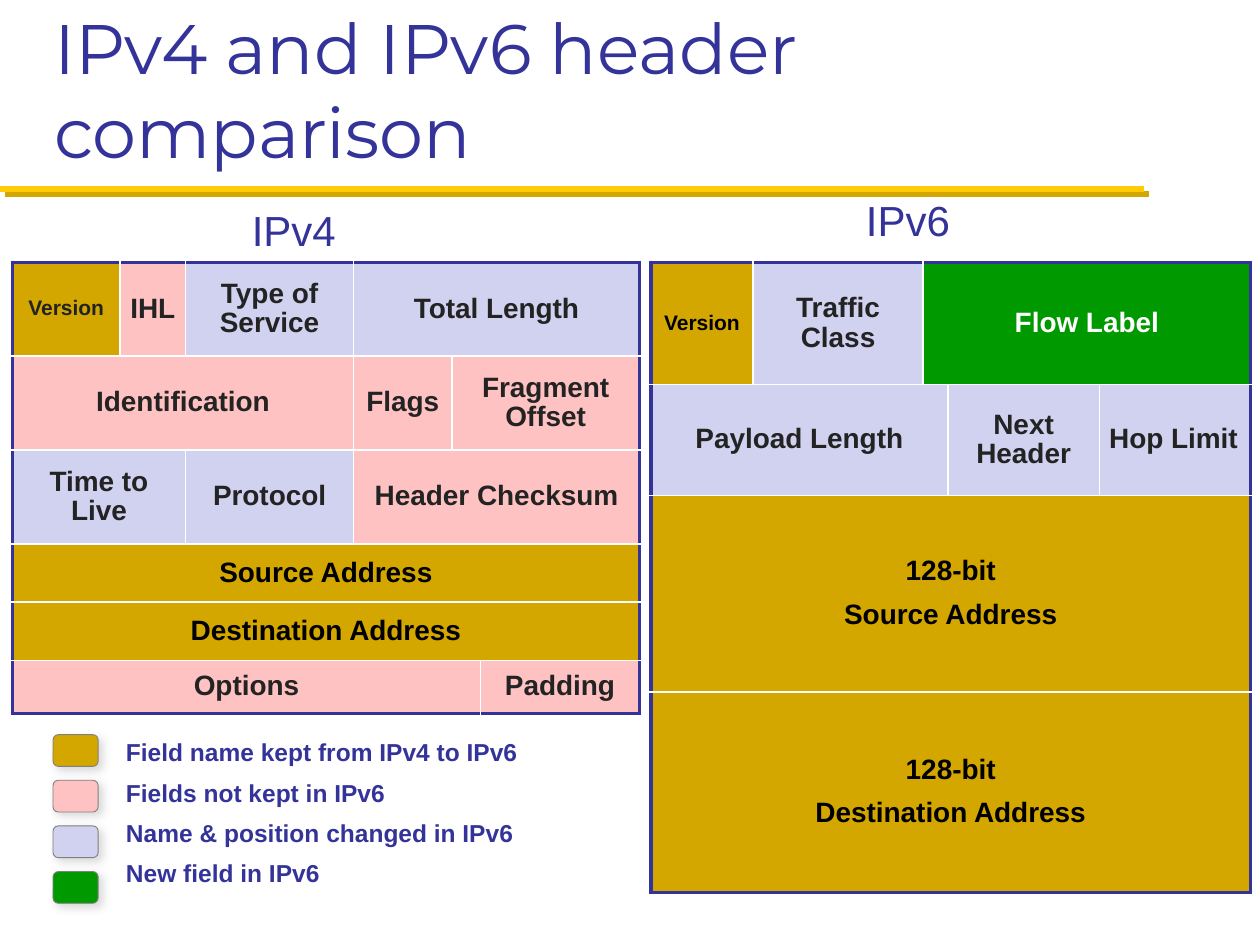
from lxml import etree
from pptx import Presentation
from pptx.dml.color import RGBColor
from pptx.enum import shapes, text
from pptx.oxml.ns import qn
from pptx.util import Cm, Pt

# Content
TITLE = "IPv4 and IPv6 header comparison"
NAVY, WHITE, BLACK, DARK = "333399", "FFFFFF", "000000", "232323"

# Kind of field: fill, text colour, legend entry
KINDS = {
    "kept": ("D3A600", BLACK, "Field name kept from IPv4 to IPv6"),
    "dropped": ("FFC2C2", DARK, "Fields not kept in IPv6"),
    "changed": ("D1D1F0", DARK, "Name & position changed in IPv6"),
    "new": ("009900", WHITE, "New field in IPv6"),
}

# Fields: text, kind, columns spanned, differing format
HEADERS = [
    dict(
        name="IPv4", label=(4.66, 4.01, 2.53, 1.22), left=0.25,
        widths=[2.17, 1.32, 3.39, 1.98, 0.58, 3.2],
        heights=[1.89, 1.89, 1.9, 1.17, 1.17, 1.07],
        rows=[
            [("Version", "kept", 1, dict(size=12, color=DARK)), ("IHL", "dropped", 1),
             ("Type of Service", "changed", 1), ("Total Length", "changed", 3)],
            [("Identification", "dropped", 3), ("Flags", "dropped", 1),
             ("Fragment Offset", "dropped", 2)],
            [("Time to Live", "changed", 2), ("Protocol", "changed", 1),
             ("Header Checksum", "dropped", 3)],
            [("Source Address", "kept", 6)],
            [("Destination Address", "kept", 6)],
            [("Options", "dropped", 5), ("Padding", "dropped", 1)],
        ]),
    dict(
        name="IPv6", label=(14.81, 3.81, 6.99, 1.22), left=13.12,
        widths=[2.06, 3.43, 0.46, 3.05, 3.05],
        heights=[2.46, 2.24, 3.96, 4.04],
        rows=[
            [("Version", "kept", 1, dict(size=12)), ("Traffic Class", "changed", 1),
             ("Flow Label", "new", 3)],
            [("Payload Length", "changed", 3), ("Next Header", "changed", 1),
             ("Hop Limit", "changed", 1, dict(align=text.PP_ALIGN.LEFT))],
            [("128-bit\nSource Address", "kept", 5)],
            [("128-bit\nDestination Address", "kept", 5)],
        ]),
]
TABLE_TOP = 5.29
SWATCH_LEFT, SWATCH_TOP, SWATCH_PITCH = 1.07, 14.81, 0.92


def rgb(value):
    return RGBColor.from_string(value)


def assign(target, **values):
    for name, value in values.items():
        setattr(target, name, value)


def write(frame, words, size, color, bold=False, font="Arial",
          align=text.PP_ALIGN.LEFT, spacing=1.0, before=0):
    """Fill a text frame; before is a percentage of the line."""
    frame.text = words
    for line in frame.paragraphs:
        assign(line, alignment=align, line_spacing=spacing)
        gap = etree.SubElement(line._p.get_or_add_pPr(), qn("a:spcBef"))
        etree.SubElement(gap, qn("a:spcPct"), val=str(before * 1000))
        assign(line.runs[0].font, size=Pt(size), bold=bold, name=font)
        line.runs[0].font.color.rgb = rgb(color)


def add_shadow(shape, color, alpha, blur, distance):
    effects = etree.SubElement(shape._element.spPr, qn("a:effectLst"))
    outer = etree.SubElement(
        effects, qn("a:outerShdw"), blurRad=str(Pt(blur)), dist=str(Pt(distance)),
        dir="2700000", algn="tl", rotWithShape="0")
    tint = etree.SubElement(outer, qn("a:srgbClr"), val=color)
    etree.SubElement(tint, qn("a:alpha"), val=str(alpha * 1000))


def add_borders(cell, **outer):
    """Navy on the edges of the table, white between fields."""
    props = cell._tc.get_or_add_tcPr()
    for side in "LRTB":
        color, width = (NAVY, 2.25) if outer[side] else (WHITE, 1)
        edge = etree.SubElement(props, qn("a:ln" + side), w=str(Pt(width)))
        paint = etree.SubElement(edge, qn("a:solidFill"))
        etree.SubElement(paint, qn("a:srgbClr"), val=color)


def add_label(box, words, inset=0.2, **style):
    frame = slide.shapes.add_textbox(*map(Cm, box)).text_frame
    assign(frame, word_wrap=True, margin_left=Cm(inset), margin_right=Cm(0.2),
           margin_top=Cm(0.11), margin_bottom=Cm(0.11))
    write(frame, words, color=NAVY, **style)


def add_header(header):
    widths, heights, rows = header["widths"], header["heights"], header["rows"]
    table = slide.shapes.add_table(
        len(heights), len(widths), Cm(header["left"]), Cm(TABLE_TOP),
        Cm(sum(widths)), Cm(sum(heights))).table
    assign(table, first_row=False, horz_banding=False)
    for column, width in zip(table.columns, widths):
        column.width = Cm(width)
    for row, height in zip(table.rows, heights):
        row.height = Cm(height)
    for r, fields in enumerate(rows):
        start = 0
        for words, kind, span, *extra in fields:
            end = start + span
            fill, color, _ = KINDS[kind]
            for c in range(start, end):
                cell = table.cell(r, c)
                add_borders(cell, L=start == 0, R=end == len(widths),
                            T=r == 0, B=r == len(rows) - 1)
                cell.fill.solid()
                cell.fill.fore_color.rgb = rgb(fill)
            field = table.cell(r, start)
            if span > 1:
                field.merge(table.cell(r, end - 1))
            assign(field, vertical_anchor=text.MSO_ANCHOR.MIDDLE,
                   margin_left=Cm(0.2), margin_right=Cm(0.2),
                   margin_top=Cm(0.1), margin_bottom=Cm(0.1))
            style = dict(size=16, color=color, bold=True, spacing=0.95, before=50,
                         align=text.PP_ALIGN.CENTER)
            write(field.text_frame, words, **{**style, **(extra[0] if extra else {})})
            start = end


prs = Presentation()
assign(prs, slide_width=Cm(25.4), slide_height=Cm(19.05))
slide = prs.slides.add_slide(prs.slide_layouts[5])

# Title and the rule under it
title = slide.shapes.title
assign(title, left=Cm(0.84), top=Cm(0.43), width=Cm(23.7), height=Cm(3.18))
assign(title.text_frame, vertical_anchor=text.MSO_ANCHOR.BOTTOM, word_wrap=True,
       auto_size=text.MSO_AUTO_SIZE.NONE)
write(title.text_frame, TITLE, 40, NAVY, font="Montserrat")

rule = slide.shapes.add_connector(
    shapes.MSO_CONNECTOR.STRAIGHT, Cm(0), Cm(3.81), Cm(23.06), Cm(3.81))
rule.line.color.rgb = rgb("FFCB05")
rule.line.width = Pt(3.5)
add_shadow(rule, "D3A600", 100, 0, 4.2)

# The two headers
for header in HEADERS:
    add_header(header)
    add_label(header["label"], header["name"], size=24, align=text.PP_ALIGN.CENTER)

# Legend
for i, (fill, _, _) in enumerate(KINDS.values()):
    swatch = slide.shapes.add_shape(
        shapes.MSO_SHAPE.ROUNDED_RECTANGLE, Cm(SWATCH_LEFT),
        Cm(SWATCH_TOP + i * SWATCH_PITCH), Cm(0.91), Cm(0.64))
    swatch.fill.solid()
    swatch.fill.fore_color.rgb = rgb(fill)
    swatch.line.color.rgb = rgb("808080")
    swatch.line.width = Pt(0.5)
    add_shadow(swatch, "CECECE", 75, 5, 3)
add_label((2.18, 14.8, 8.61, 3.4), "\n".join(entry for _, _, entry in KINDS.values()),
          inset=0.36, size=14, bold=True, spacing=0.95, before=50)

prs.save("out.pptx")
